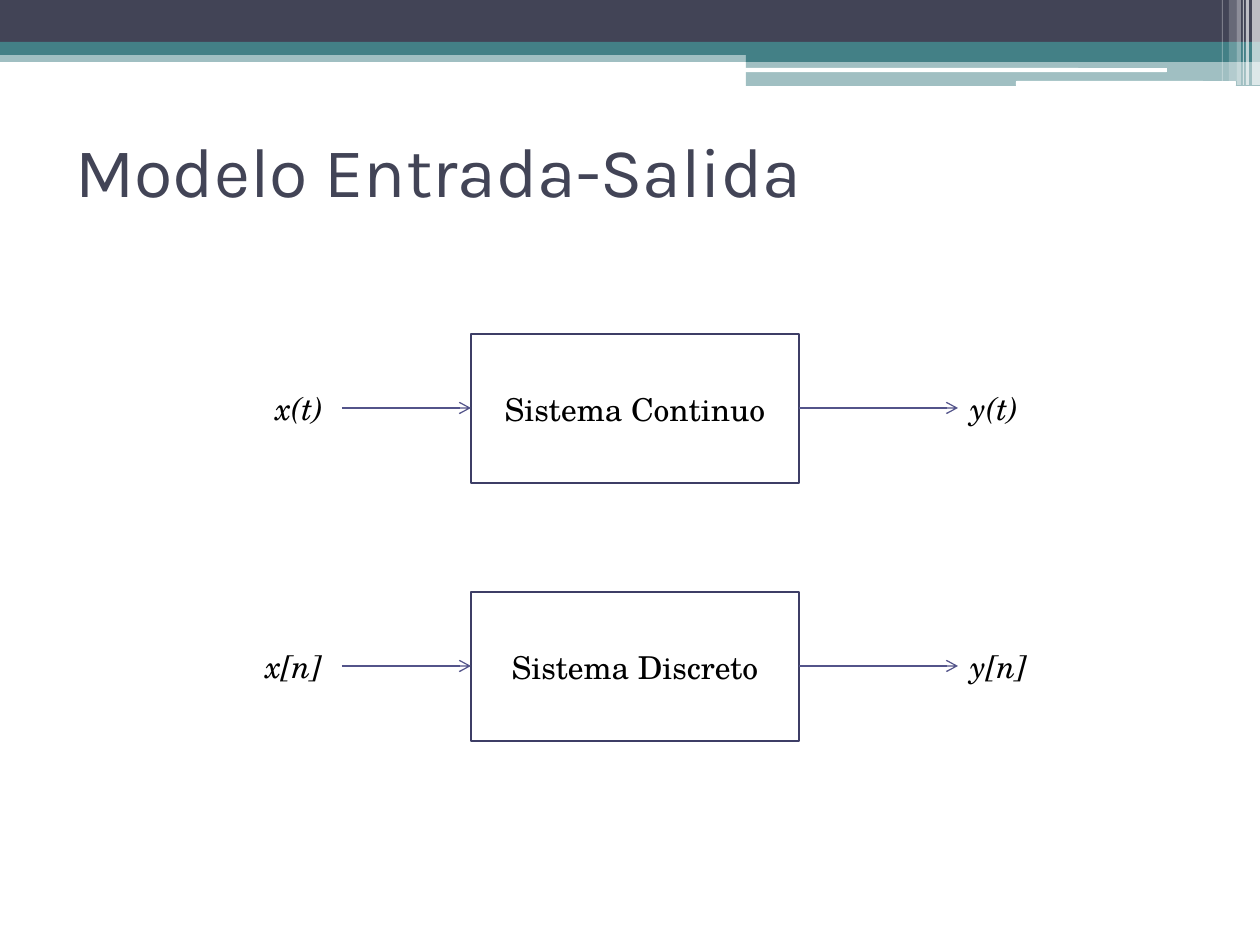
from lxml.etree import SubElement
from pptx import Presentation
from pptx.dml.color import RGBColor
from pptx.enum.shapes import MSO_CONNECTOR, MSO_SHAPE
from pptx.enum.text import MSO_ANCHOR, PP_ALIGN
from pptx.oxml.ns import qn
from pptx.util import Pt

SCALE = 914400 / 126
THEME = {
    "teal": "438086", "dark": "424456", "white": "FFFFFF", "black": "000000",
    "border": "3D3E66", "arrow": "53548A",
    "head": "Karla", "body": "TeX Gyre Schola", "title": 40, "text": 18,
}


def emu(*sizes):
    return [round(size * SCALE) for size in sizes]


def write(shape, text, font, size, color, align=PP_ALIGN.LEFT, italic=False):
    frame = shape.text_frame
    frame.text = text
    frame.word_wrap = True
    frame.vertical_anchor = MSO_ANCHOR.MIDDLE
    line = frame.paragraphs[0]
    line.alignment = align
    style = line.runs[0].font
    style.name = THEME[font]
    style.size = Pt(THEME[size])
    style.color.rgb = RGBColor.from_string(THEME[color])
    style.italic = italic


deck = Presentation()
deck.slide_width, deck.slide_height = emu(1260, 945)
slide = deck.slides.add_slide(deck.slide_layouts[6])
shapes = slide.shapes

RECT, ROUND = MSO_SHAPE.RECTANGLE, MSO_SHAPE.ROUNDED_RECTANGLE
bands = [
    (RECT, 0, 50, 1260, 12, "teal", 50),
    (RECT, 0, 0, 1260, 43, "dark", 100),
    (RECT, 0, 42, 1260, 13, "teal", 100),
    (RECT, 746, 49, 514, 13, "teal", 100),
    (RECT, 746, 61, 514, 25, "teal", 50),
    (ROUND, 745, 68, 422, 4, "white", 100),
    (ROUND, 1016, 81, 220, 5, "white", 100),
]
stripes = [(1252, 8, 85, 65), (1246, 3, 85, 65), (1243, 1, 85, 60),
           (1237, 4, 85, 40), (1229, 8, 81, 20), (1222, 1, 81, 30)]
bands += [(RECT, left, 0, width, height, "white", alpha)
          for left, width, height, alpha in stripes]

for kind, left, top, width, height, color, alpha in bands:
    band = shapes.add_shape(kind, *emu(left, top, width, height))
    band.shadow.inherit = False
    band.line.fill.background()
    band.fill.solid()
    band.fill.fore_color.rgb = RGBColor.from_string(THEME[color])
    if alpha < 100:
        tint = band.fill._xPr.find(".//" + qn("a:srgbClr"))
        SubElement(tint, qn("a:alpha"), val=str(alpha * 1000))

title = shapes.add_textbox(*emu(63, 96, 1134, 147))
write(title, "Modelo Entrada-Salida", "head", "title", "dark")

START, LEFT, RIGHT, END = 342, 471, 799, 958
systems = [("Sistema Continuo", "x(t)", "y(t)", 79),
           ("Sistema Discreto", "x[n]", "y[n]", 89)]

for row, (name, source, result, width) in enumerate(systems):
    top = 334 + 258 * row
    middle = top + 74

    box = shapes.add_shape(RECT, *emu(LEFT, top, RIGHT - LEFT, 149))
    box.shadow.inherit = False
    box.fill.background()
    box.line.color.rgb = RGBColor.from_string(THEME["border"])
    box.line.width = Pt(1.5)
    write(box, name, "body", "text", "black", PP_ALIGN.CENTER)

    for text, left in ((source, START - width), (result, END)):
        label = shapes.add_textbox(*emu(left, middle - 25, width, 50))
        write(label, text, "body", "text", "black", italic=True)

    for begin, end in ((START, LEFT), (RIGHT, END)):
        arrow = shapes.add_connector(
            MSO_CONNECTOR.STRAIGHT, *emu(begin, middle, end, middle))
        arrow.line.color.rgb = RGBColor.from_string(THEME["arrow"])
        arrow.line.width = Pt(0.75)
        SubElement(arrow.line._get_or_add_ln(), qn("a:tailEnd"), type="arrow")
        SubElement(arrow._element.spPr, qn("a:effectLst"))

deck.save("out.pptx")
